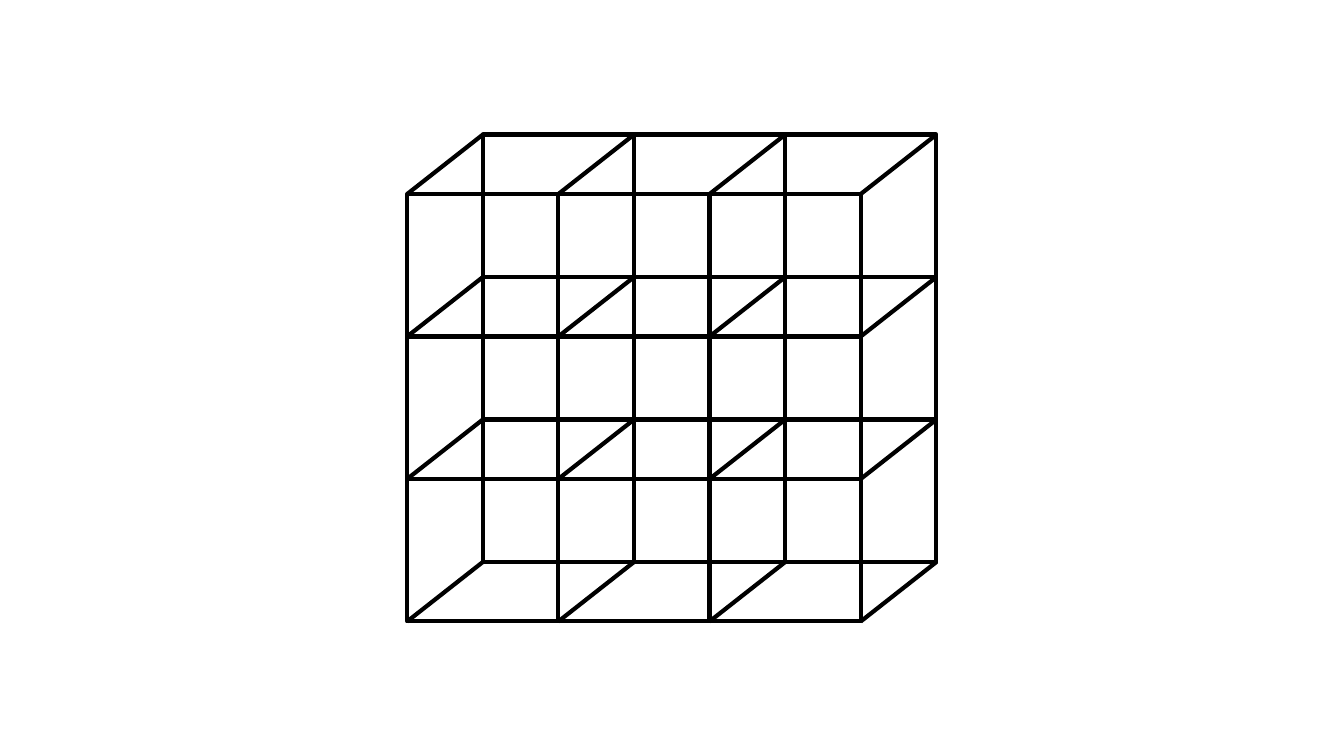
from pptx import Presentation
from pptx import util as u
from pptx.dml.color import RGBColor
from pptx.enum import shapes as s
from pptx.oxml.ns import qn
from lxml import etree

BLACK = RGBColor(0, 0, 0)
WHITE = RGBColor(255, 255, 255)
LEFT, TOP = u.Cm(10.26), u.Cm(4.89)
WIDE, HIGH = u.Cm(3.81), u.Cm(3.59)
SHIFT, RISE = u.Cm(1.91), u.Cm(1.5)
COLS, ROWS = 3, 3


def ink(item):
    item.line.color.rgb = BLACK
    item.line.width = u.Pt(3)


def face(group, x, y, solid=False):
    rect = group.shapes.add_shape(s.MSO_SHAPE.RECTANGLE, x, y, WIDE, HIGH)
    rect.shadow.inherit = False
    if solid:
        rect.fill.solid()
        rect.fill.fore_color.rgb = WHITE
    else:
        rect.fill.background()
    ink(rect)


def edge(group, x, y):
    line = group.shapes.add_connector(
        s.MSO_CONNECTOR.STRAIGHT, x, y, x + SHIFT, y - RISE)
    ink(line)
    etree.SubElement(line._element.spPr, qn("a:effectLst"))


def stack(slide, col):
    group = slide.shapes.add_group_shape()
    x = LEFT + col * WIDE
    for row in (1, 2, 0):
        y = TOP + row * HIGH
        face(group, x + SHIFT, y - RISE, solid=row < ROWS - 1)
        face(group, x, y)
    ends = (x, x + WIDE) if col == COLS - 1 else (x,)
    for end in ends:
        for row in range(ROWS + 1):
            edge(group, end, TOP + row * HIGH)


def main():
    deck = Presentation()
    deck.slide_width, deck.slide_height = u.Cm(33.87), u.Cm(19.05)
    slide = deck.slides.add_slide(deck.slide_layouts[6])
    for col in range(COLS):
        stack(slide, col)
    deck.save("out.pptx")


if __name__ == "__main__":
    main()
